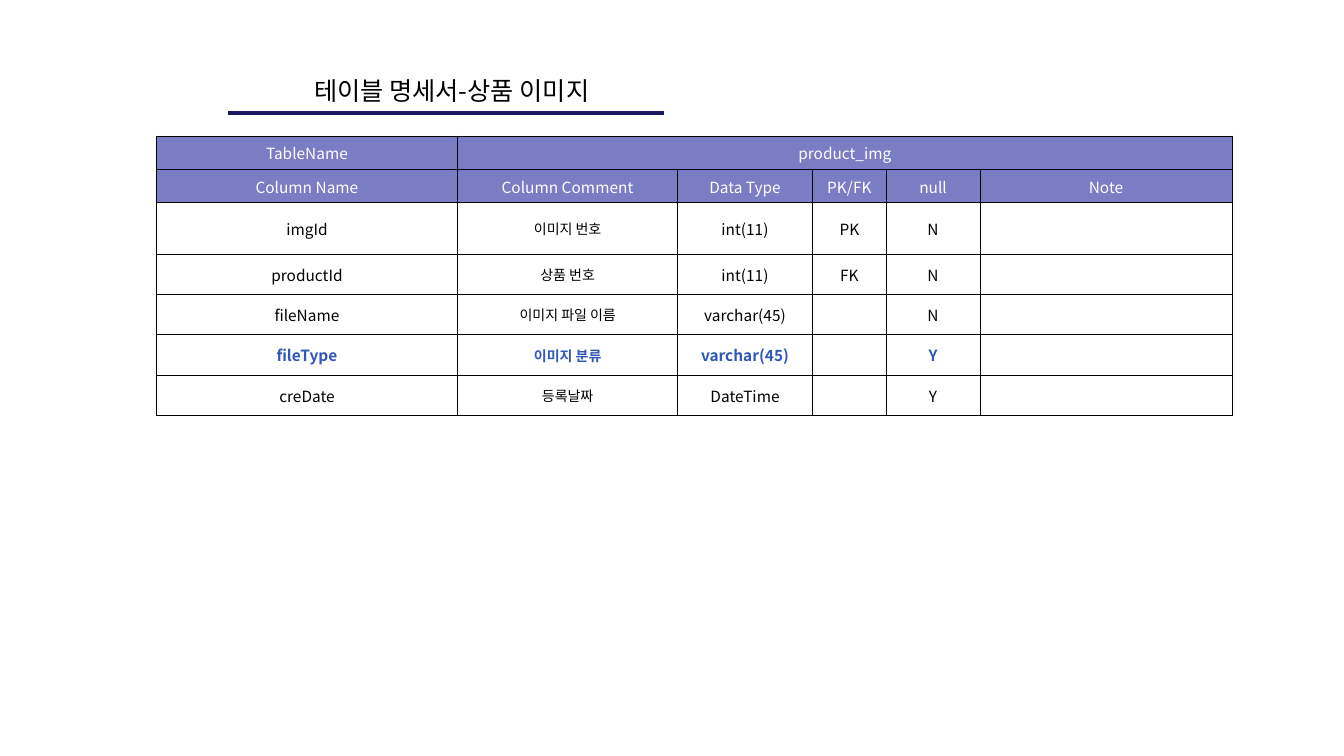
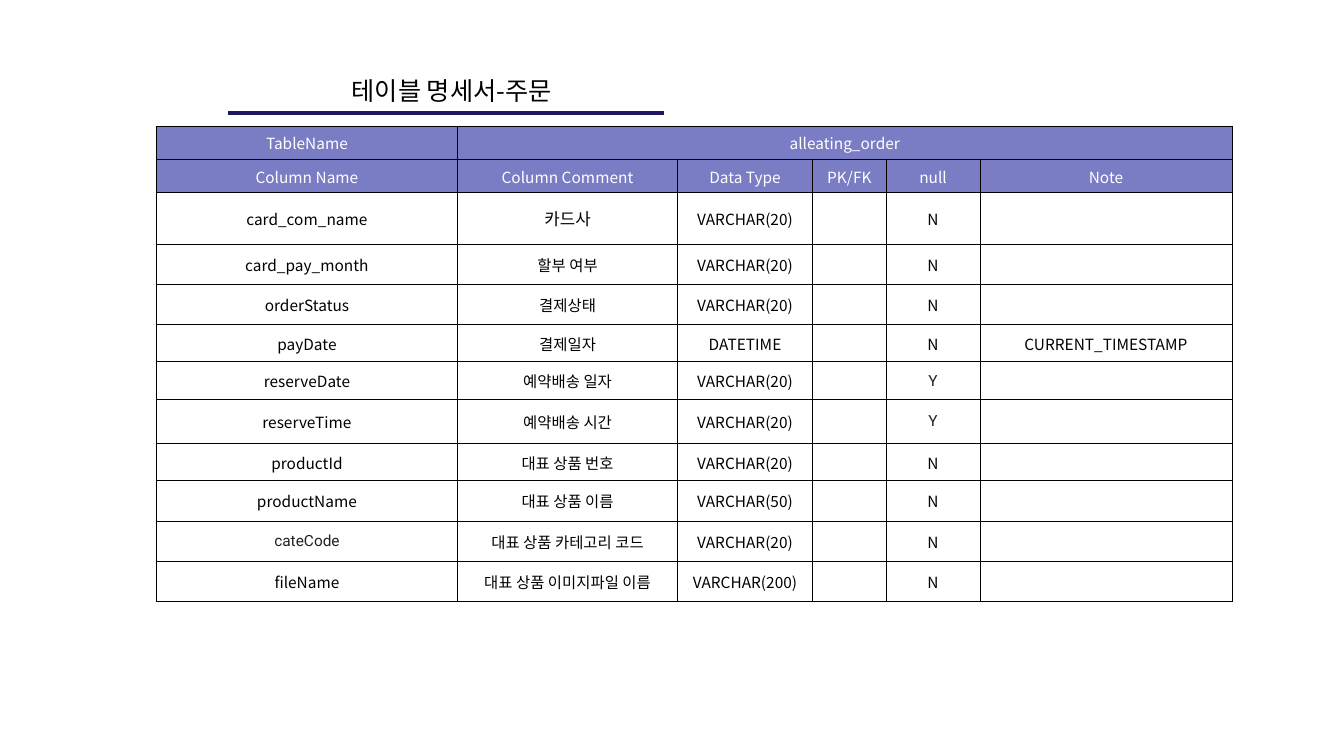
import pptx
import pptx.dml.color
import pptx.enum.shapes
import pptx.enum.text
import pptx.oxml.ns
import pptx.util
import lxml.etree

# Shared style
FONT = "Noto Sans CJK KR"
ALT_FONT = "Roboto"
BLACK, WHITE, HEADER_FILL = "000000", "FFFFFF", "7A7CC4"
RULE_COLOR, ACCENT, DARK_GREY = "1B1760", "3057B9", "202124"
TEXT_SIZE = 11
BORDER_WIDTH = 0.6

# Shared layout, in inches
TITLE_BOX = (2.29, 0.7, 4.38, 0.39)
RULE = (2.26, 1.12, 6.59, 1.12)
TABLE_LEFT = 1.55
COLUMN_WIDTHS = (2.99, 2.18, 1.34, 0.73, 0.93, 2.5)
HEADER_HEIGHT = 0.33
HEADINGS = ("Column Name", "Column Comment", "Data Type", "PK/FK", "null", "Note")

# Styles that differ from the default body cell
ROBOTO = {"name": ALT_FONT, "color": DARK_GREY}
HIGHLIGHT = {"color": ACCENT, "bold": True}

# Each row: height, then the texts of the six columns.
# Cell styles are keyed by (body row, column).
IMAGE_ROWS = (
    (0.51, "imgId", "이미지 번호", "int(11)", "PK", "N", ""),
    (0.4, "productId", "상품 번호", "int(11)", "FK", "N", ""),
    (0.4, "fileName", "이미지 파일 이름", "varchar(45)", "", "N", ""),
    (0.4, "fileType", "이미지 분류", "varchar(45)", "", "Y", ""),
    (0.4, "creDate", "등록날짜", "DateTime", "", "Y", ""),
)
IMAGE_STYLES = {(row, 1): {"size": 10} for row in range(len(IMAGE_ROWS))}
for column_index in range(len(HEADINGS)):
    IMAGE_STYLES[3, column_index] = {**IMAGE_STYLES.get((3, column_index), {}), **HIGHLIGHT}

ORDER_ROWS = (
    (0.51, "card_com_name", "카드사", "VARCHAR(20)", "", "N", ""),
    (0.4, "card_pay_month", "할부 여부", "VARCHAR(20)", "", "N", ""),
    (0.4, "orderStatus", "결제상태", "VARCHAR(20)", "", "N", ""),
    (0.37, "payDate", "결제일자", "DATETIME", "", "N", "CURRENT_TIMESTAMP"),
    (0.37, "reserveDate", "예약배송 일자", "VARCHAR(20)", "", "Y", ""),
    (0.44, "reserveTime", "예약배송 시간", "VARCHAR(20)", "", "Y", ""),
    (0.37, "productId", "대표 상품 번호", "VARCHAR(20)", "", "N", ""),
    (0.4, "productName", "대표 상품 이름", "VARCHAR(50)", "", "N", ""),
    (0.4, "cateCode", "대표 상품 카테고리 코드", "VARCHAR(20)", "", "N", ""),
    (0.4, "fileName", "대표 상품 이미지파일 이름", "VARCHAR(200)", "", "N", ""),
)
ORDER_STYLES = {(0, 1): {"size": 12}, (4, 4): ROBOTO, (5, 4): ROBOTO, (8, 0): ROBOTO}


def inches(*lengths):
    return [pptx.util.Inches(length) for length in lengths]


def rgb(value):
    return pptx.dml.color.RGBColor.from_string(value)


def add_element(parent, tag, **attributes):
    return lxml.etree.SubElement(parent, pptx.oxml.ns.qn(tag), **attributes)


def add_run(paragraph, text, size=TEXT_SIZE, color=BLACK, bold=False, name=FONT):
    run = paragraph.add_run()
    run.text = text
    run.font.size = pptx.util.Pt(size)
    run.font.bold = bold
    run.font.color.rgb = rgb(color)
    run.font.name = name
    add_element(run.font._element, "a:ea", typeface=name)


def add_borders(cell):
    properties = cell._tc.get_or_add_tcPr()
    width = str(int(pptx.util.Pt(BORDER_WIDTH)))
    for side in "LRTB":
        line = add_element(properties, f"a:ln{side}", w=width)
        add_element(add_element(line, "a:solidFill"), "a:srgbClr", val=BLACK)


def fill_cell(cell, text, fill=None, **style):
    add_borders(cell)
    if fill:
        cell.fill.solid()
        cell.fill.fore_color.rgb = rgb(fill)
    else:
        cell.fill.background()
    cell.vertical_anchor = pptx.enum.text.MSO_ANCHOR.MIDDLE
    paragraph = cell.text_frame.paragraphs[0]
    paragraph.alignment = pptx.enum.text.PP_ALIGN.CENTER
    paragraph.line_spacing = 1.03
    if text:
        add_run(paragraph, text, **style)
    else:
        # An empty cell must not force its row taller
        add_element(paragraph._p, "a:endParaRPr", sz=str(TEXT_SIZE * 100))


def add_title(slide, text):
    title = slide.shapes.title
    title.left, title.top, title.width, title.height = inches(*TITLE_BOX)
    frame = title.text_frame
    frame.word_wrap = True
    frame.auto_size = pptx.enum.text.MSO_AUTO_SIZE.NONE
    frame.vertical_anchor = pptx.enum.text.MSO_ANCHOR.MIDDLE
    paragraph = frame.paragraphs[0]
    paragraph.alignment = pptx.enum.text.PP_ALIGN.CENTER
    add_run(paragraph, text, size=18)

    # Rule under the title
    rule = slide.shapes.add_connector(
        pptx.enum.shapes.MSO_CONNECTOR.STRAIGHT, *inches(*RULE))
    rule.line.color.rgb = rgb(RULE_COLOR)
    rule.line.width = pptx.util.Pt(3)
    add_element(rule._element.spPr, "a:effectLst")


def add_specification(slide, top, table_name, rows, styles):
    heights = [HEADER_HEIGHT] * 2 + [row[0] for row in rows]
    frame = slide.shapes.add_table(
        len(heights), len(COLUMN_WIDTHS),
        *inches(TABLE_LEFT, top, sum(COLUMN_WIDTHS), sum(heights)))
    table = frame.table
    table.first_row = table.horz_banding = False
    for column, width in zip(table.columns, COLUMN_WIDTHS):
        column.width = pptx.util.Inches(width)
    for row, height in zip(table.rows, heights):
        row.height = pptx.util.Inches(height)

    # Two header rows, the table's name spanning all but the first column
    name_row = ("TableName", table_name) + ("",) * (len(HEADINGS) - 2)
    for row_index, texts in enumerate((name_row, HEADINGS)):
        for column, text in enumerate(texts):
            fill_cell(table.cell(row_index, column), text, HEADER_FILL, color=WHITE)
    table.cell(0, 1).merge(table.cell(0, len(HEADINGS) - 1))

    # Body rows
    for row_index, (_, *texts) in enumerate(rows):
        for column, text in enumerate(texts):
            style = styles.get((row_index, column), {})
            fill_cell(table.cell(row_index + 2, column), text, **style)


def add_table_slide(presentation, title, *specification):
    slide = presentation.slides.add_slide(presentation.slide_layouts[5])
    add_specification(slide, *specification)
    add_title(slide, title)


def main():
    presentation = pptx.Presentation()
    presentation.slide_width, presentation.slide_height = inches(13.33, 7.5)
    add_table_slide(presentation, "테이블 명세서-상품 이미지",
                    1.35, "product_img", IMAGE_ROWS, IMAGE_STYLES)
    add_table_slide(presentation, "테이블 명세서-주문",
                    1.25, "alleating_order", ORDER_ROWS, ORDER_STYLES)
    presentation.save("out.pptx")


if __name__ == "__main__":
    main()
